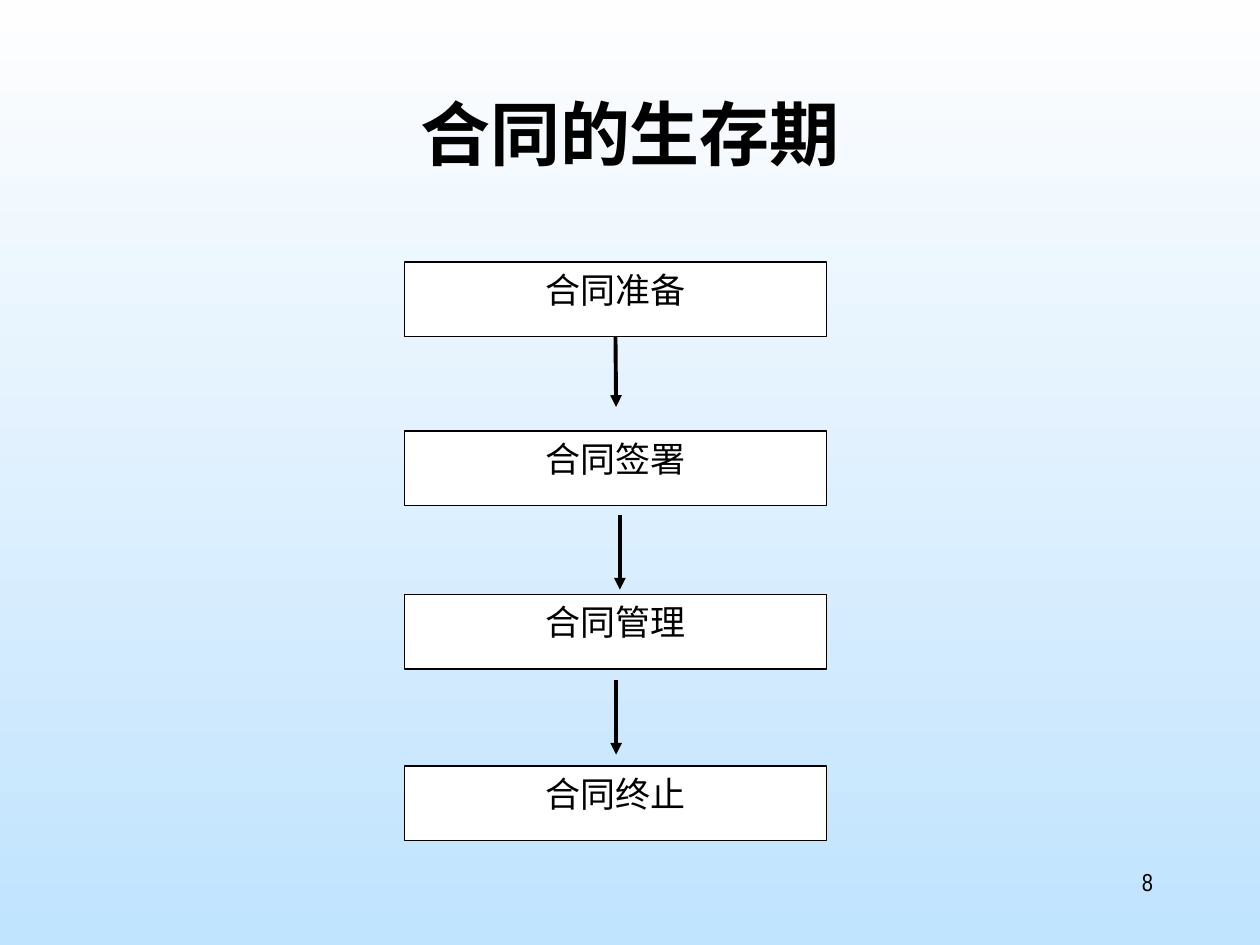
import pptx
import pptx.util
import pptx.dml.color
import pptx.enum.shapes
import pptx.enum.text
import pptx.oxml
import pptx.oxml.ns
from lxml import etree

Inches, Pt = pptx.util.Inches, pptx.util.Pt
ALIGN = pptx.enum.text.PP_ALIGN

TITLE = "合同的生存期"
PAGE = "8"
STAGES = [("合同准备", 2.08), ("合同签署", 3.42), ("合同管理", 4.72), ("合同终止", 6.08)]
ARROWS = [(4.89, 2.64), (4.92, 4.09), (4.89, 5.4)]
BOX_LEFT, BOX_W, BOX_H, ARROW_H = 3.21, 3.35, 0.59, 0.59
COLORS = {"ink": "000000", "box": "FFFFFF", "top": "FEFEFE", "bottom": "C0E3FE"}
CJK = "Noto Sans CJK SC"


def rgb(name):
    return pptx.dml.color.RGBColor.from_string(COLORS[name])


def write(tf, text, size, font, align, bold=False):
    tf.word_wrap = True
    tf.vertical_anchor = pptx.enum.text.MSO_ANCHOR.TOP
    p = tf.paragraphs[0]
    p.alignment = align
    r = p.add_run()
    r.text = text
    r.font.size = Pt(size)
    r.font.name = font
    r.font.bold = bold
    r.font.color.rgb = rgb("ink")
    ea = etree.SubElement(r.font._element, pptx.oxml.ns.qn("a:ea"))
    ea.set("typeface", CJK)


def add_stage(s, text, top):
    sp = s.shapes.add_shape(
        pptx.enum.shapes.MSO_SHAPE.RECTANGLE,
        Inches(BOX_LEFT), Inches(top), Inches(BOX_W), Inches(BOX_H))
    sp.shadow.inherit = False
    sp.fill.solid()
    sp.fill.fore_color.rgb = rgb("box")
    sp.line.color.rgb = rgb("ink")
    sp.line.width = Pt(0.75)
    write(sp.text_frame, text, 20, "Times New Roman", ALIGN.CENTER)
    return sp


def add_arrow(s, x, y):
    c = s.shapes.add_connector(
        pptx.enum.shapes.MSO_CONNECTOR.STRAIGHT,
        Inches(x), Inches(y), Inches(x), Inches(y + ARROW_H))
    c.line.color.rgb = rgb("ink")
    c.line.width = Pt(2.25)
    tail = etree.SubElement(c.line._get_or_add_ln(), pptx.oxml.ns.qn("a:tailEnd"))
    tail.set("type", "triangle")
    etree.SubElement(c._element.spPr, pptx.oxml.ns.qn("a:effectLst"))
    return c


def main():
    prs = pptx.Presentation()
    prs.slide_width, prs.slide_height = Inches(10), Inches(7.5)
    s = prs.slides.add_slide(prs.slide_layouts[5])

    fill = s.background.fill
    fill.gradient()
    fill.gradient_angle = 270
    for stop, name in zip(fill.gradient_stops, ("top", "bottom")):
        stop.color.rgb = rgb(name)

    title = s.shapes.title
    title.left, title.top = Inches(0.75), Inches(0.67)
    title.width, title.height = Inches(8.5), Inches(1.25)
    write(title.text_frame, TITLE, 40, CJK, ALIGN.CENTER, bold=True)

    boxes = [add_stage(s, text, top) for text, top in STAGES]
    arrows = [add_arrow(s, x, y) for x, y in ARROWS]
    arrows[0].begin_connect(boxes[0], 2)

    number = s.shapes.add_textbox(Inches(7.17), Inches(6.83), Inches(2.08), Inches(0.5))
    write(number.text_frame, PAGE, 14, "Arial Narrow", ALIGN.RIGHT)

    prs.save("out.pptx")


if __name__ == "__main__":
    main()
